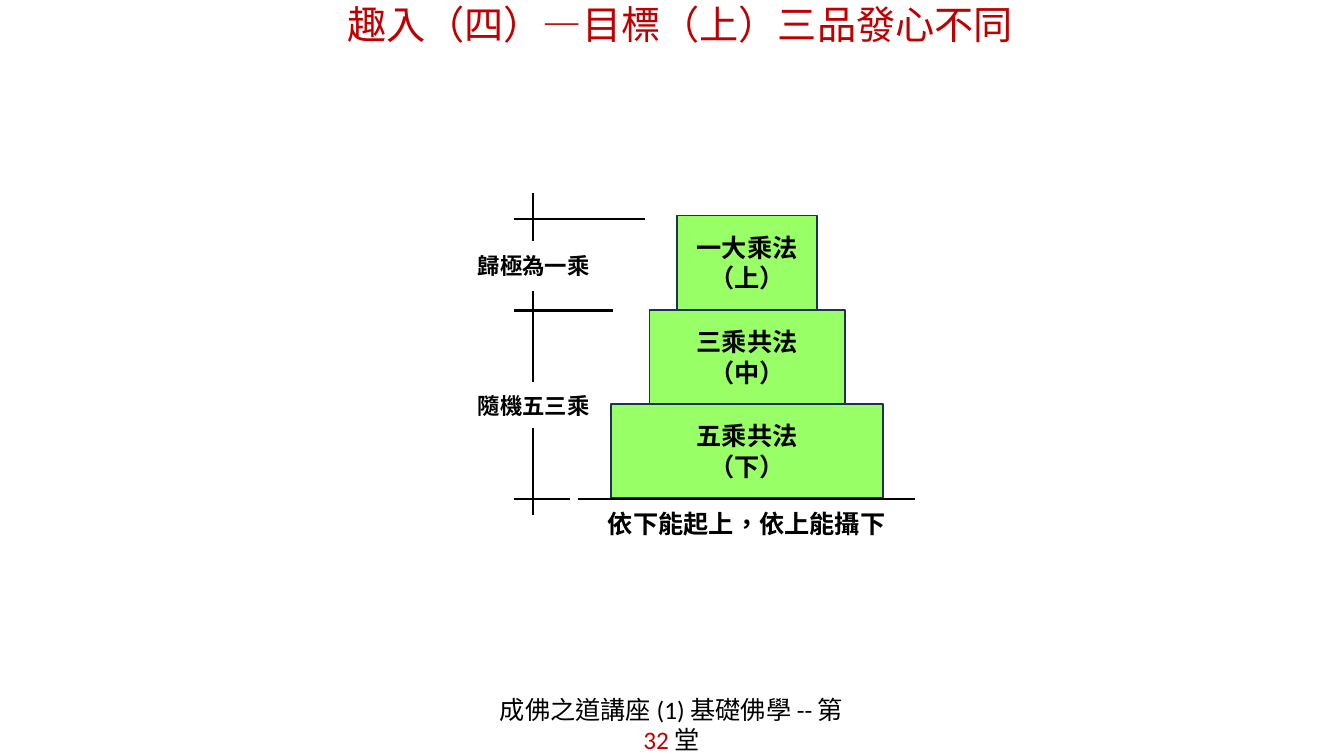
from dataclasses import dataclass
from lxml.etree import SubElement
from pptx import Presentation
from pptx.dml.color import RGBColor
from pptx.enum.lang import MSO_LANGUAGE_ID
from pptx.enum.shapes import MSO_CONNECTOR, MSO_SHAPE
from pptx.enum.text import MSO_ANCHOR, PP_ALIGN
from pptx.oxml.ns import qn
from pptx.util import Inches, Pt

TITLE = "趣入（四）—目標（上）三品發心不同"
FOOTER = [("成佛之道講座 (1) 基礎佛學 -- 第", "ink"), ("32", "accent"), (" 堂", "ink")]
TIERS = [
    (("一大乘法", "（上）"), 1.39),
    (("三乘共法", "（中）"), 1.94),
    (("五乘共法", "（下）"), 2.7),
]
MOTTO = "依下能起上，依上能攝下"
STAGES = [("歸極為一乘", 2.45), ("隨機五三乘", 3.84)]
LEVELS = [(5.1, 6.4, 2.17), (5.1, 6.08, 3.08), (5.1, 5.65, 4.95), (5.73, 9.08, 4.95)]
UPRIGHTS = [(1.91, 2.39), (2.89, 3.79), (4.25, 5.11)]
UPRIGHT_X = 5.29
TIER_CENTER, TIER_TOP, TIER_STEP, TIER_HEIGHT = 7.41, 2.14, 0.935, 0.93


@dataclass
class Theme:
    ink: str = "000000"
    accent: str = "C00000"
    tier: str = "99FF66"
    edge: str = "1E3256"
    paper: str = "FFFFFF"
    latin: str = "Calibri"
    asian: str = "Noto Sans CJK SC"
    title_size: int = 28
    body_size: int = 18
    label_size: int = 16


theme = Theme()


def color(name):
    return RGBColor.from_string(getattr(theme, name))


def apply(target, formats):
    for name, value in formats.items():
        setattr(target, name, value)


def add_shadow(properties):
    effects = SubElement(properties, qn("a:effectLst"))
    shadow = SubElement(effects, qn("a:outerShdw"), blurRad="38100", dist="38100", dir="2700000", algn="tl")
    black = SubElement(shadow, qn("a:srgbClr"), val=theme.ink)
    SubElement(black, qn("a:alpha"), val="43000")


def add_span(para, text, size, tint="ink", bold=False, face=theme.latin, shadow=False):
    span = para.add_run()
    span.text = text
    span.font.color.rgb = color(tint)
    if shadow:
        add_shadow(span.font._element)
    apply(span.font, {"size": Pt(size), "bold": bold, "name": face,
                      "language_id": MSO_LANGUAGE_ID.TRADITIONAL_CHINESE})
    latin = span.font._element.find(qn("a:latin"))
    asian = SubElement(span.font._element, qn("a:ea"), typeface=theme.asian)
    latin.addnext(asian)


def add_box(page, area, spans, size, anchor=MSO_ANCHOR.TOP, margin=0.1, **look):
    box = page.shapes.add_textbox(*map(Inches, area))
    apply(box.text_frame, {"word_wrap": True, "vertical_anchor": anchor,
                           "margin_left": Inches(margin), "margin_right": Inches(margin)})
    para = box.text_frame.paragraphs[0]
    para.alignment = PP_ALIGN.CENTER
    for text, tint in spans:
        add_span(para, text, size, tint, **look)


def add_title(page):
    title = page.shapes.title
    apply(title, {"left": Inches(0.35), "top": Inches(-0.11), "width": Inches(12.62), "height": Inches(0.85)})
    apply(title.text_frame, {"word_wrap": False, "vertical_anchor": MSO_ANCHOR.MIDDLE})
    para = title.text_frame.paragraphs[0]
    apply(para, {"alignment": PP_ALIGN.CENTER, "line_spacing": Pt(22)})
    para._p.get_or_add_pPr().set("indent", str(Inches(0.17)))
    add_span(para, TITLE, theme.title_size, "accent", shadow=True)


def add_tier(page, level, lines, width):
    area = (TIER_CENTER - width / 2, TIER_TOP + level * TIER_STEP, width, TIER_HEIGHT)
    tier = page.shapes.add_shape(MSO_SHAPE.RECTANGLE, *map(Inches, area))
    tier.shadow.inherit = False
    tier.fill.solid()
    tier.fill.fore_color.rgb = color("tier")
    tier.line.color.rgb = color("edge")
    tier.line.width = Pt(1)
    frame = tier.text_frame
    apply(frame, {"word_wrap": True, "vertical_anchor": MSO_ANCHOR.MIDDLE})
    for index, text in enumerate(lines):
        para = frame.add_paragraph() if index else frame.paragraphs[0]
        para.alignment = PP_ALIGN.CENTER
        add_span(para, text, theme.body_size, bold=True)


def add_rule(page, *ends):
    rule = page.shapes.add_connector(MSO_CONNECTOR.STRAIGHT, *map(Inches, ends))
    rule.line.color.rgb = color("ink")
    rule.line.width = Pt(1.5)
    SubElement(rule._element.spPr, qn("a:effectLst"))


def main():
    deck = Presentation()
    apply(deck, {"slide_width": Inches(13.33), "slide_height": Inches(7.5)})
    page = deck.slides.add_slide(deck.slide_layouts[5])
    page.background.fill.solid()
    page.background.fill.fore_color.rgb = color("paper")
    add_title(page)
    add_box(page, (4.62, 6.97, 4.08, 0.44), FOOTER, theme.body_size,
            anchor=MSO_ANCHOR.MIDDLE, margin=0.25, shadow=True)
    for level, (lines, width) in reversed(list(enumerate(TIERS))):
        add_tier(page, level, lines, width)
    for left, right, height in LEVELS:
        add_rule(page, left, height, right, height)
    for top, bottom in UPRIGHTS:
        add_rule(page, UPRIGHT_X, top, UPRIGHT_X, bottom)
    add_box(page, (5.82, 4.99, 3.17, 0.4), [(MOTTO, "ink")], theme.body_size, bold=True)
    for text, top in STAGES:
        add_box(page, (4.46, top, 1.67, 0.37), [(text, "ink")], theme.label_size,
                bold=True, face=theme.asian)
    deck.save("out.pptx")


if __name__ == "__main__":
    main()
